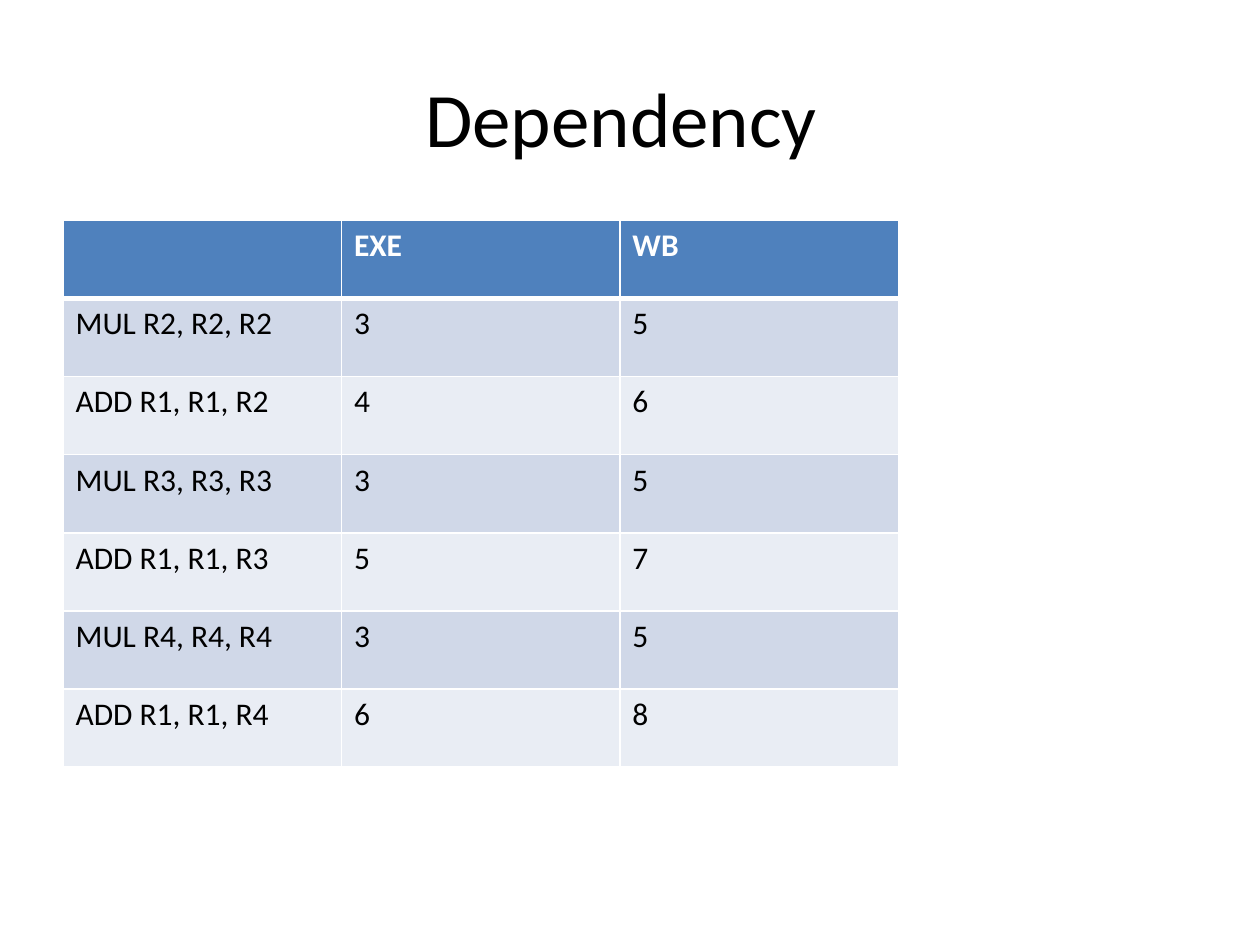
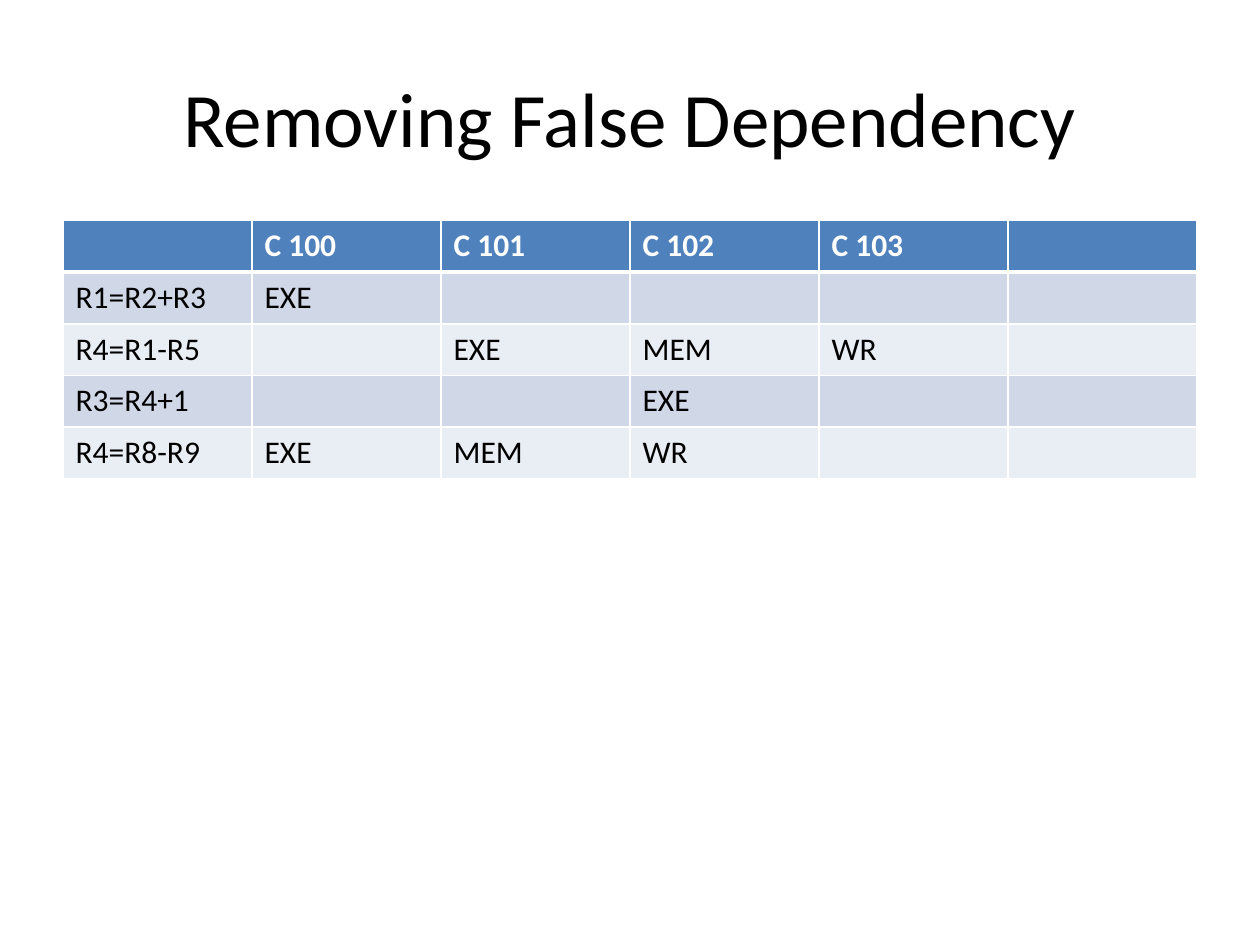
from lxml import etree
from pptx import Presentation
from pptx import util as u
from pptx.dml.color import RGBColor
from pptx.enum import text
from pptx.oxml import ns

SLIDES = [
    {"title": "Dependency ", "col": 2.21, "row": 0.62, "rows": [
        ("", "EXE", "WB"),
        ("MUL R2, R2, R2", "3", "5"),
        ("ADD R1, R1, R2", "4", "6"),
        ("MUL R3, R3, R3", "3", "5"),
        ("ADD R1, R1, R3", "5", "7"),
        ("MUL R4, R4, R4", "3", "5"),
        ("ADD R1, R1, R4", "6", "8"),
    ]},
    {"title": "Removing False Dependency", "col": 1.5, "row": 0.41, "rows": [
        ("", "C 100", "C 101", "C 102", "C 103", ""),
        ("R1=R2+R3", "EXE", "", "", "", ""),
        ("R4=R1-R5", "", "EXE", "MEM", "WR", ""),
        ("R3=R4+1", "", "", "EXE", "", ""),
        ("R4=R8-R9", "EXE", "MEM", "WR", "", ""),
    ]},
]
WIDE, HIGH = 10, 7.5
LEFT, TOP = 0.5, 1.75
TITLE_BOX = (LEFT, 0.3, WIDE - 2 * LEFT, 1.25)
HEAD, BANDS, RULE = "4F81BD", ("D0D8E8", "E9EDF4"), "FFFFFF"
FACE = {"name": "Calibri"}
TITLE = {**FACE, "size": u.Pt(44), "bold": False}
HEAD_TEXT = {**FACE, "size": u.Pt(18), "bold": True}
BODY_TEXT = {**HEAD_TEXT, "bold": False}


def color(code):
    return RGBColor.from_string(code)


def style(font, form, code):
    for key, value in form.items():
        setattr(font, key, value)
    font.color.rgb = color(code)


def rule(cell, side, width):
    """Draw one cell border; call before the cell is filled."""
    line = etree.SubElement(cell._tc.get_or_add_tcPr(), ns.qn(f"a:ln{side}"),
                            w=str(u.Pt(width)))
    fill = etree.SubElement(line, ns.qn("a:solidFill"))
    etree.SubElement(fill, ns.qn("a:srgbClr"), val=RULE)


def add_title(slide, words):
    title = slide.shapes.title
    title.left, title.top, title.width, title.height = map(u.Inches, TITLE_BOX)
    frame = title.text_frame
    frame.text = words
    frame.vertical_anchor = text.MSO_ANCHOR.MIDDLE
    line = frame.paragraphs[0]
    line.alignment = text.PP_ALIGN.CENTER
    style(line.runs[0].font, TITLE, "000000")


def fill_cell(cell, words, row):
    thick = {0: "B", 1: "T"}.get(row)
    for side in "LRTB":
        rule(cell, side, 3 if side == thick else 1)
    cell.fill.solid()
    cell.fill.fore_color.rgb = color(BANDS[(row - 1) % 2] if row else HEAD)
    if words:
        run = cell.text_frame.paragraphs[0].add_run()
        run.text = words
        style(run.font, BODY_TEXT if row else HEAD_TEXT,
              "000000" if row else "FFFFFF")


def add_grid(slide, rows, col, row):
    down, across = len(rows), len(rows[0])
    box = map(u.Inches, (LEFT, TOP, across * col, down * row))
    table = slide.shapes.add_table(down, across, *box).table
    for r, line in enumerate(rows):
        for c, words in enumerate(line):
            fill_cell(table.cell(r, c), words, r)


def main():
    deck = Presentation()
    deck.slide_width, deck.slide_height = u.Inches(WIDE), u.Inches(HIGH)
    for page in SLIDES:
        slide = deck.slides.add_slide(deck.slide_layouts.get_by_name("Title Only"))
        add_title(slide, page["title"])
        add_grid(slide, page["rows"], page["col"], page["row"])
    deck.save("out.pptx")


if __name__ == "__main__":
    main()
